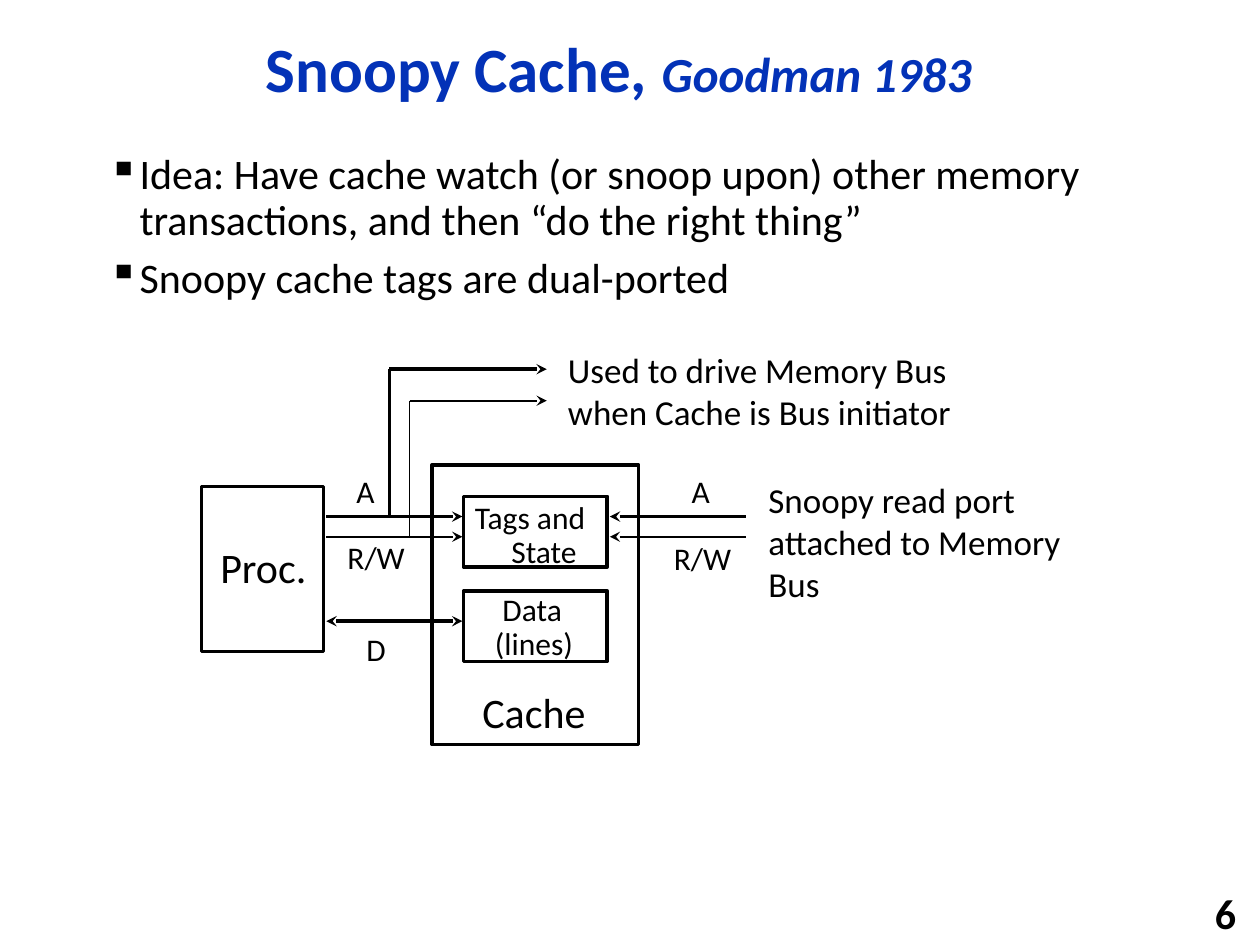
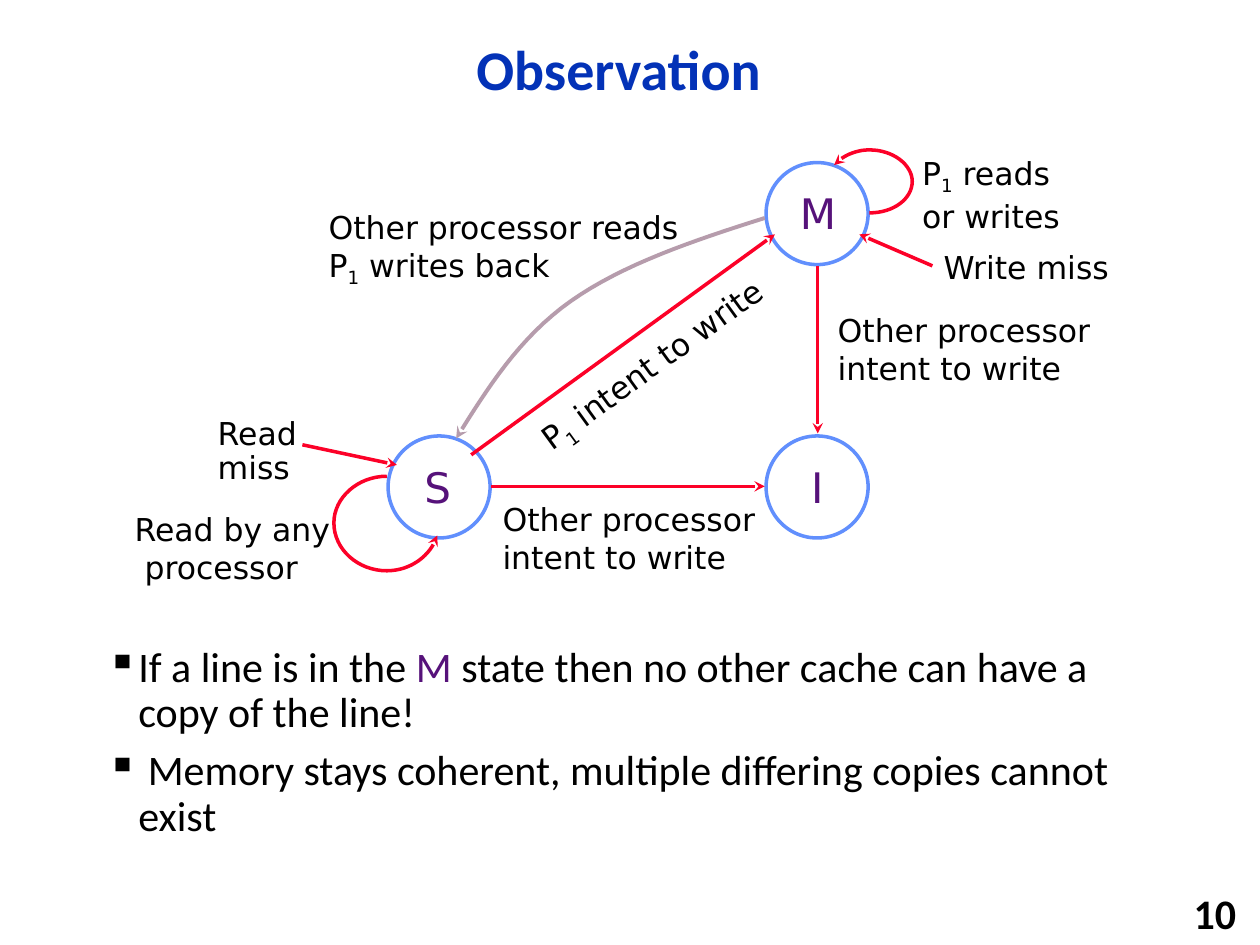
from lxml.etree import SubElement
from pptx import Presentation
from pptx.dml.color import RGBColor
from pptx.enum.shapes import MSO_CONNECTOR, MSO_SHAPE
from pptx.enum.text import MSO_ANCHOR, MSO_AUTO_SIZE, PP_ALIGN
from pptx.oxml.ns import qn
from pptx.util import Inches, Pt

BLACK, WHITE = "000000", "FFFFFF"
TITLE_BLUE, STATE_BLUE = "0332B7", "618FFD"
PURPLE, RED, MAUVE = "56127A", "FC0128", "B69CAC"
BODY_FONT, DIAGRAM_FONT = "Calibri", "DejaVu Sans"
SUBSCRIPT_ONE = ("1", {"baseline": -25})


def rgb(code):
    return RGBColor.from_string(code)


def inches(*values):
    return [Inches(value) for value in values]


def write(frame, paragraphs, size=18, font=BODY_FONT, color=BLACK, bold=False,
          align=PP_ALIGN.LEFT, anchor=MSO_ANCHOR.TOP, spacing=1.0,
          bullet=None, gap=0, indents=()):
    frame.word_wrap = True
    frame.auto_size = MSO_AUTO_SIZE.NONE
    frame.vertical_anchor = anchor
    for index, content in enumerate(paragraphs):
        paragraph = frame.paragraphs[0] if index == 0 else frame.add_paragraph()
        paragraph.alignment = align
        paragraph.line_spacing = spacing
        paragraph.space_before = Pt(gap if index else 0)
        properties = paragraph._p.get_or_add_pPr()
        if bullet:
            properties.set("marL", str(Inches(0.25)))
            properties.set("indent", str(-Inches(0.25)))
            SubElement(properties, qn("a:buChar")).set("char", bullet)
        elif indents:
            properties.set("marL", str(Inches(indents[index])))
        for piece in [content] if isinstance(content, str) else content:
            text, changes = (piece, {}) if isinstance(piece, str) else piece
            run = paragraph.add_run()
            run.text = text
            run.font.name = font
            run.font.size = Pt(changes.get("size", size))
            run.font.bold = bold
            run.font.italic = changes.get("italic", False)
            run.font.color.rgb = rgb(changes.get("color", color))
            if "baseline" in changes:
                run._r.get_or_add_rPr().set("baseline", str(changes["baseline"] * 1000))


def bezier(start, *segments, steps=16):
    points = [start]
    for segment in segments:
        a, b, c, d = points[-1], *segment
        for step in range(1, steps + 1):
            t = step / steps
            u = 1 - t
            points.append(tuple(u**3 * a[k] + 3 * u * u * t * b[k] + 3 * u * t * t * c[k] + t**3 * d[k]
                                for k in (0, 1)))
    return points


class Deck:
    def __init__(self, font=BODY_FONT):
        self.presentation = Presentation()
        self.presentation.slide_width, self.presentation.slide_height = inches(10, 7.5)
        self.font = font
        self.slide = None

    def new_slide(self, title, number, size, font):
        self.font = font
        self.slide = self.presentation.slides.add_slide(self.presentation.slide_layouts[5])
        heading = self.slide.shapes.title
        heading.left, heading.top, heading.width, heading.height = inches(0.92, 0.17, 7.98, 0.81)
        write(heading.text_frame, [title], size=size, color=TITLE_BLUE, bold=True,
              align=PP_ALIGN.CENTER, anchor=MSO_ANCHOR.MIDDLE, spacing=0.9)
        self.label(7.83, 7.08, 2.08, 0.32, [number], size=24, font=BODY_FONT, bold=True,
                   align=PP_ALIGN.RIGHT, anchor=MSO_ANCHOR.MIDDLE)

    def label(self, left, top, width, height, paragraphs, rotation=0, **style):
        box = self.slide.shapes.add_textbox(*inches(left, top, width, height))
        box.rotation = rotation
        write(box.text_frame, paragraphs, **{"font": self.font, **style})

    def bullets(self, left, top, width, height, paragraphs):
        self.label(left, top, width, height, paragraphs, size=24, font=BODY_FONT,
                   spacing=0.9, bullet="▪", gap=7.2)

    def outline(self, kind, left, top, width, height, color, fill=None):
        shape = self.slide.shapes.add_shape(kind, *inches(left, top, width, height))
        shape.shadow.inherit = False
        if fill:
            shape.fill.solid()
            shape.fill.fore_color.rgb = rgb(fill)
        else:
            shape.fill.background()
        self.stroke(shape, color, 2)
        return shape

    def stroke(self, shape, color, weight, heads=""):
        shape.line.color.rgb = rgb(color)
        shape.line.width = Pt(weight)
        for end in ("head", "tail"):
            if end in heads:
                SubElement(shape.line._get_or_add_ln(), qn(f"a:{end}End")).set("type", "stealth")

    def line(self, start, end, color=BLACK, weight=2, heads="tail"):
        connector = self.slide.shapes.add_connector(MSO_CONNECTOR.STRAIGHT, *inches(*start, *end))
        self.stroke(connector, color, weight, heads)
        SubElement(connector._element.spPr, qn("a:effectLst"))

    def curve(self, points, color=RED, weight=2):
        first, *rest = [tuple(inches(*point)) for point in points]
        builder = self.slide.shapes.build_freeform(*first)
        builder.add_line_segments(rest, close=False)
        shape = builder.convert_to_shape()
        shape.shadow.inherit = False
        shape.fill.background()
        self.stroke(shape, color, weight, "head")


def snoopy_cache(deck):
    deck.new_slide(["Snoopy Cache, ", ("Goodman 1983", {"size": 28, "italic": True})],
                   "6", 36, BODY_FONT)
    deck.bullets(0.76, 1.17, 8.4, 1.4, [
        "Idea: Have cache watch (or snoop upon) other memory transactions, and then “do the right thing”",
        "Snoopy cache tags are dual-ported"])

    processor = (1.6, 3.86, 0.97, 1.31)
    cache = (3.43, 3.69, 1.64, 2.22)
    tags = (3.68, 3.94, 1.14, 0.56)
    data = (3.68, 4.69, 1.14, 0.56)
    for block in (processor, cache, tags, data):
        deck.outline(MSO_SHAPE.RECTANGLE, *block, BLACK)

    deck.label(1.65, 4.25, 1, 0.5, ["Proc."], size=24)
    deck.label(3.73, 5.4, 1.2, 0.5, ["Cache"], size=24)
    deck.label(3.67, 3.94, 1.2, 0.65, ["Tags and", "State"], spacing=0.9, indents=(0, 0.29))
    deck.label(3.83, 4.67, 1, 0.65, ["Data", "(lines)"], spacing=0.9, indents=(0.06, 0))

    address_y, control_y, data_y = 4.1, 4.26, 4.93
    for y, weight, branch_x, branch_y in ((address_y, 2, 3.09, 2.93), (control_y, 1, 3.25, 3.18)):
        deck.line((2.59, y), (3.67, y), weight=weight)
        deck.line((4.84, y), (5.92, y), weight=weight, heads="head")
        deck.line((branch_x, y), (branch_x, branch_y), weight=weight, heads="")
        deck.line((branch_x, branch_y), (4.34, branch_y), weight=weight)
    deck.line((2.59, data_y), (3.67, data_y), heads="head tail")

    for left, top, signal in ((2.73, 3.7, "A"), (2.66, 4.22, "R/W"), (2.81, 4.95, "D"),
                              (5.39, 3.7, "A"), (5.25, 4.23, "R/W")):
        deck.label(left, top, 0.8, 0.4, [signal])
    deck.label(4.41, 2.72, 3.5, 0.77,
               ["Used to drive Memory Bus", "when Cache is Bus initiator"], size=20)
    deck.label(6, 3.75, 2.8, 1.11,
               ["Snoopy read port", "attached to Memory", "Bus"], size=20)


def observation(deck):
    deck.new_slide("Observation", "10", 32, DIAGRAM_FONT)
    deck.bullets(0.75, 5.08, 8.4, 1.69, [
        ["If a line is in the ", ("M", {"color": PURPLE}),
         " state then no other cache can have a copy of the line!"],
        " Memory stays coherent, multiple differing copies cannot exist"])

    for state, left, top, letter_x in (("M", 6.08, 1.29, 6.25), ("S", 3.08, 3.46, 3.27),
                                       ("I", 6.08, 3.46, 6.34)):
        deck.outline(MSO_SHAPE.OVAL, left, top, 0.81, 0.81, STATE_BLUE, WHITE)
        deck.label(letter_x, top + 0.15, 0.6, 0.5, [state], size=24, color=PURPLE)

    for start, end in (((7.4, 2.11), (6.82, 1.86)), ((6.49, 2.11), (6.49, 3.44)),
                       ((2.4, 3.53), (3.15, 3.69)), ((3.74, 3.61), (6.15, 1.86)),
                       ((3.9, 3.86), (6.07, 3.86))):
        deck.line(start, end, RED)

    read_loop = bezier((3.47, 4.25), ((3.42, 4.41), (3.26, 4.53), (3.07, 4.53)),
                       ((2.84, 4.53), (2.65, 4.36), (2.65, 4.15)),
                       ((2.65, 3.95), (2.84, 3.78), (3.07, 3.78)))
    write_loop = bezier((6.62, 1.31), ((6.68, 1.24), (6.79, 1.19), (6.9, 1.19)),
                        ((7.09, 1.19), (7.24, 1.31), (7.24, 1.44)),
                        ((7.24, 1.58), (7.09, 1.69), (6.9, 1.69)))
    write_back = bezier((3.62, 3.48), ((3.87, 3.08), (4.12, 2.68), (4.53, 2.39)),
                        ((4.94, 2.1), (5.5, 1.91), (6.07, 1.73)))
    deck.curve(read_loop)
    deck.curve(write_loop)
    deck.curve(write_back, MAUVE, 2.25)

    for left, top in ((6.55, 2.42), (3.89, 3.92)):
        deck.label(left, top, 2.4, 0.7, ["Other processor", "intent to write"])
    deck.label(7.39, 1.92, 1.7, 0.4, ["Write miss"])
    deck.label(1.63, 3.27, 1, 0.64, ["Read", "miss"], spacing=0.9)
    deck.label(0.97, 4, 1.9, 0.7, ["Read by any", "processor"], indents=(0, 0.08))
    deck.label(3.92, 2.69, 2.5, 0.4, [["P", SUBSCRIPT_ONE, " intent to write"]],
               rotation=-36, align=PP_ALIGN.CENTER)
    deck.label(7.22, 1.17, 1.5, 0.7, [["P", SUBSCRIPT_ONE, " reads"], "or writes"])
    deck.label(2.51, 1.6, 3.2, 0.7,
               ["Other processor reads", ["P", SUBSCRIPT_ONE, " writes back"]])


def main():
    deck = Deck()
    snoopy_cache(deck)
    observation(deck)
    deck.presentation.save("out.pptx")


if __name__ == "__main__":
    main()
